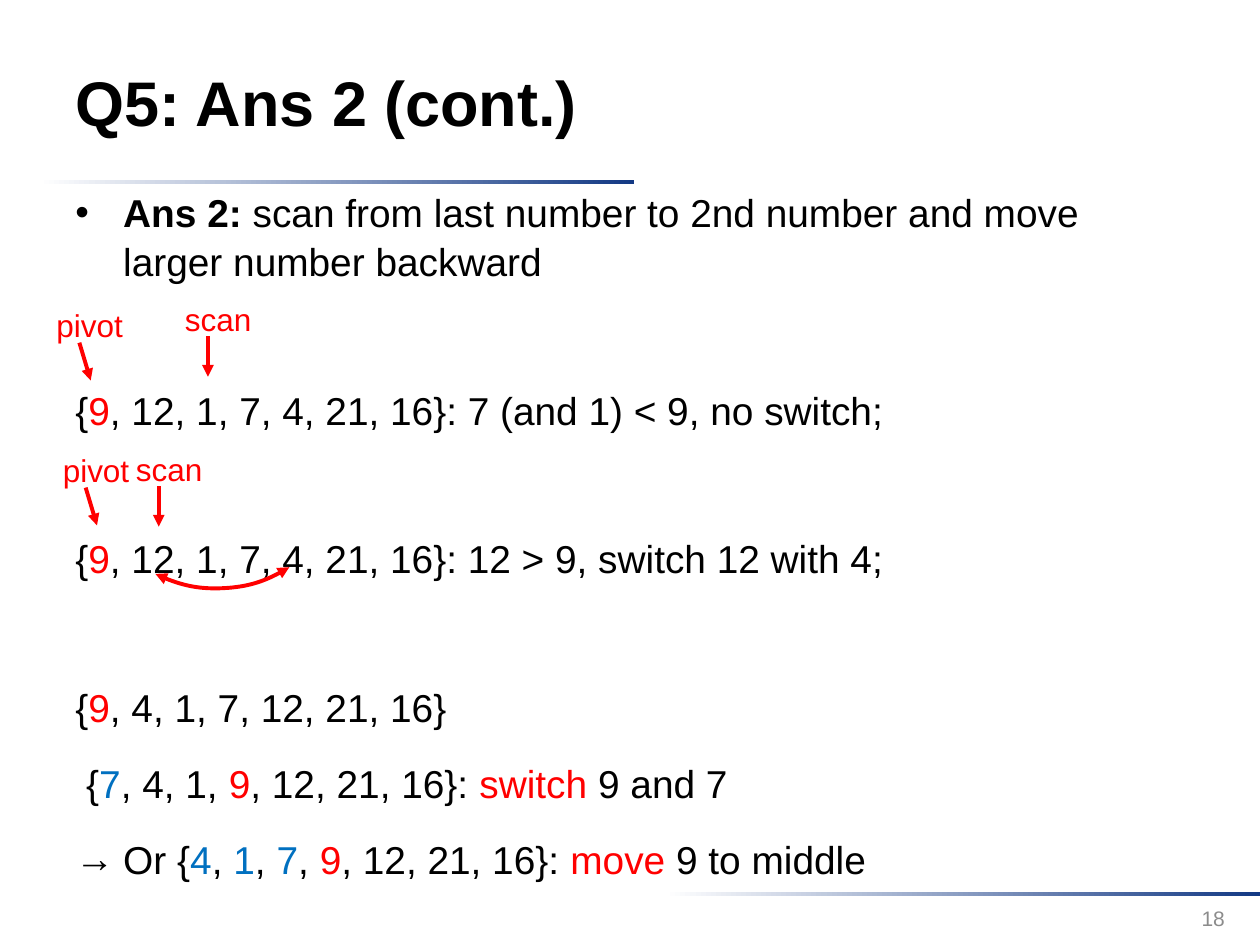
from dataclasses import dataclass

from lxml.etree import SubElement
from pptx import Presentation
from pptx.dml.color import RGBColor as RGB
from pptx.enum.shapes import MSO_CONNECTOR as Connector, MSO_SHAPE as Shape
from pptx.enum.text import MSO_ANCHOR as Anchor, PP_ALIGN as Align
from pptx.oxml.ns import qn
from pptx.util import Inches, Pt


@dataclass(frozen=True)
class Theme:
    font: str = "Arial"
    ink: RGB = RGB(0, 0, 0)
    pivot: RGB = RGB(0xFF, 0, 0)
    smaller: RGB = RGB(0, 0x70, 0xC0)
    muted: RGB = RGB(0x8C, 0x8C, 0x8C)
    paper: RGB = RGB(0xFF, 0xFF, 0xFF)
    navy: RGB = RGB(0x13, 0x39, 0x84)
    title: float = 36
    body: float = 22.2
    label: float = 18
    footer: float = 12
    stroke: float = 2.25


class Deck:
    """Places elements on a grid of 100 columns by 75 rows."""

    def __init__(self, theme):
        self.theme = theme
        self.prs = Presentation()
        self.prs.slide_width, self.prs.slide_height = Inches(10), Inches(7.5)
        self.slide = self.prs.slides.add_slide(self.prs.slide_layouts[5])

    def grid(self, *cells):
        """Column and row counts as lengths; both units are a hundredth of the width."""
        return [round(cell * self.prs.slide_width / 100) for cell in cells]

    def style(self, run, size, color, bold=False):
        font = run.font
        font.name, font.size, font.bold = self.theme.font, Pt(size), bold
        font.color.rgb = color

    def title(self, text, *box):
        heading = self.slide.shapes.title
        heading.left, heading.top, heading.width, heading.height = self.grid(*box)
        frame = heading.text_frame
        frame.text = text
        frame.vertical_anchor = Anchor.MIDDLE
        frame.paragraphs[0].alignment = Align.LEFT
        self.style(frame.paragraphs[0].runs[0], self.theme.title, self.theme.ink, True)

    def text(self, text, box, size, color, wrap=True, align=Align.LEFT, anchor=Anchor.TOP):
        frame = self.slide.shapes.add_textbox(*self.grid(*box)).text_frame
        frame.text, frame.word_wrap, frame.vertical_anchor = text, wrap, anchor
        frame.paragraphs[0].alignment = align
        self.style(frame.paragraphs[0].runs[0], size, color)

    def body(self, steps, *box):
        frame = self.slide.shapes.add_textbox(*self.grid(*box)).text_frame
        frame.word_wrap = True
        for number, (parts, before, spacing, margin, bullet) in enumerate(steps):
            step = frame.paragraphs[0] if number == 0 else frame.add_paragraph()
            step.space_before, step.line_spacing = Pt(before), spacing
            for words, color, bold in parts:
                run = step.add_run()
                run.text = words
                self.style(run, self.theme.body, color, bold)
            indent = self.grid(margin)[0]
            props = step._p.get_or_add_pPr()
            props.set("marL", str(indent))
            props.set("indent", str(-indent if bullet else 0))
            if bullet:
                SubElement(props, qn("a:buFont"), typeface=self.theme.font)
                SubElement(props, qn("a:buChar"), char=bullet)

    def rule(self, *box):
        bar = self.slide.shapes.add_shape(Shape.RECTANGLE, *self.grid(*box))
        bar.shadow.inherit = False
        bar.line.fill.background()
        bar.fill.gradient()
        bar.fill.gradient_angle = 0
        stops = bar.fill.gradient_stops
        for stop, place, color in zip(stops, (0, 1), (self.theme.paper, self.theme.navy)):
            stop.position, stop.color.rgb = place, color

    def arrow_line(self, line, *ends):
        line.color.rgb, line.width = self.theme.pivot, Pt(self.theme.stroke)
        for end in ends:
            SubElement(line._get_or_add_ln(), qn(f"a:{end}"), type="triangle")

    def marker(self, label, column, row, lean, drop):
        """A label with an arrow down to the number it names."""
        self.text(label, (column, row, 7.3, 4), self.theme.label, self.theme.pivot, wrap=False)
        start, top = column + 2.8, row + 3.4
        arrow = self.slide.shapes.add_connector(
            Connector.STRAIGHT, *self.grid(start, top, start + lean, top + drop))
        SubElement(arrow._element.spPr, qn("a:effectLst"))
        self.arrow_line(arrow.line, "tailEnd")

    def swap_arc(self, *box):
        arc = self.slide.shapes.add_shape(Shape.ARC, *self.grid(*box))
        arc.shadow.inherit = False
        arc.fill.background()
        arc.rotation = 116.4
        arc.adjustments[0], arc.adjustments[1] = 179.83, 0
        self.arrow_line(arc.line, "headEnd", "tailEnd")


def main():
    theme = Theme()
    deck = Deck(theme)

    def ink(words, bold=False):
        return words, theme.ink, bold

    def red(words):
        return words, theme.pivot, False

    def blue(words):
        return words, theme.smaller, False

    def scan_step(rest):
        return [ink("{"), red("9"), ink(rest)], wide, 1.4, 0, None

    tight, wide = 6, 47.7
    steps = [
        ([ink("Ans 2:", True),
          ink(" scan from last number to 2nd number and move larger number backward")],
         tight, 1.05, 3.8, "•"),
        scan_step(", 12, 1, 7, 4, 21, 16}: 7 (and 1) < 9, no switch;"),
        scan_step(", 12, 1, 7, 4, 21, 16}: 12 > 9, switch 12 with 4;"),
        scan_step(", 4, 1, 7, 12, 21, 16}"),
        ([ink("{"), blue("7"), ink(", 4, 1, "), red("9"), ink(", 12, 21, 16}: "),
          red("switch"), ink(" 9 and 7")], tight, 1.4, 0.86, None),
        ([ink("Or {"), blue("4"), ink(", "), blue("1"), ink(", "), blue("7"), ink(", "),
          red("9"), ink(", 12, 21, 16}: "), red("move"), ink(" 9 to middle")],
         tight, 1.4, 3.8, "→"),
    ]

    deck.rule(3.1, 14.3, 47.2, 0.3)
    deck.rule(52.8, 70.8, 47.2, 0.3)
    deck.title("Q5: Ans 2 (cont.)", 5, 1.8, 77.3, 12.5)
    deck.body(steps, 5, 14.3, 90, 56.6)
    deck.text("18", (74.9, 70.9, 23.3, 4), theme.footer, theme.muted,
              align=Align.RIGHT, anchor=Anchor.MIDDLE)
    for pivot_at, scan_at in (((3.5, 23.8), (13.7, 23.3)), ((4, 35.3), (9.8, 35.2))):
        deck.marker("pivot", *pivot_at, lean=0.9, drop=3)
        deck.marker("scan", *scan_at, lean=0, drop=3.2)
    deck.swap_arc(6.5, 25.4, 21, 21.5)
    deck.prs.save("out.pptx")


if __name__ == "__main__":
    main()
